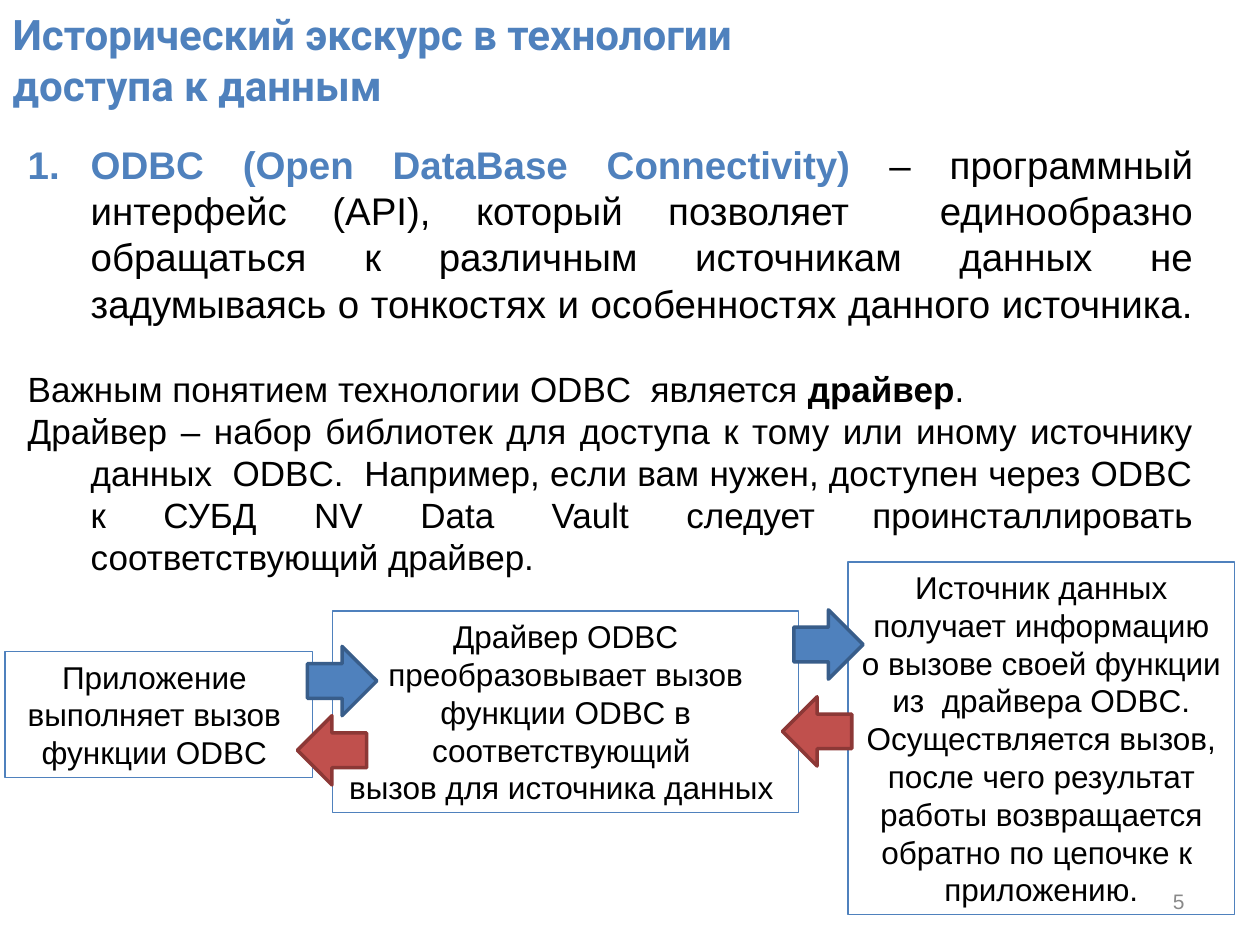
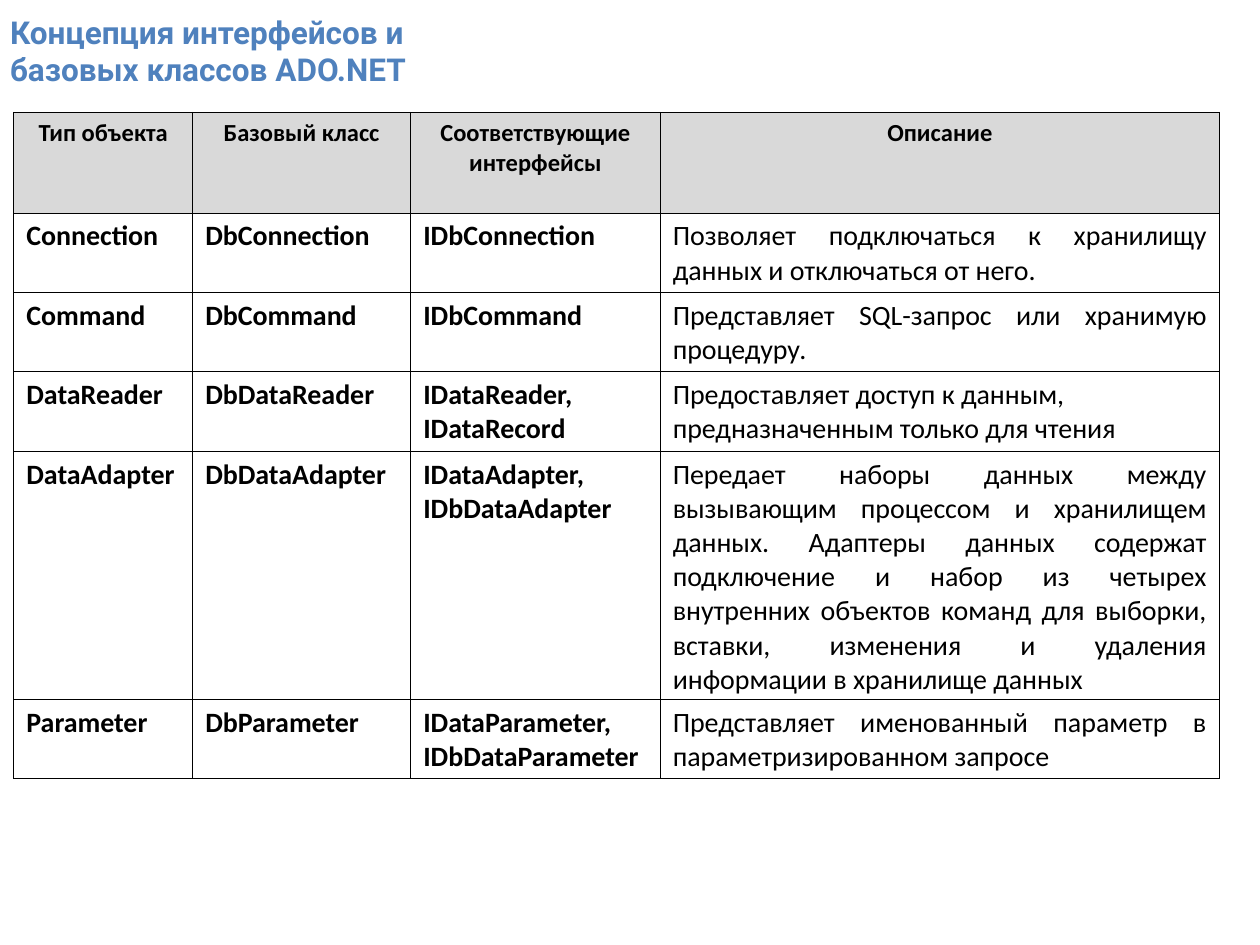
from lxml import etree
from pptx import Presentation
from pptx import util as u
from pptx.dml.color import RGBColor
from pptx.enum import shapes, text
from pptx.oxml import ns

BLUE = RGBColor(0x4F, 0x81, 0xBD)
NAVY = RGBColor(0x38, 0x5D, 0x8A)
RED = RGBColor(0xC0, 0x50, 0x4D)
MAROON = RGBColor(0x8C, 0x38, 0x36)
BLACK = RGBColor(0, 0, 0)
GRAY = RGBColor(0x89, 0x89, 0x89)
SILVER = RGBColor(0xD9, 0xD9, 0xD9)

LEFT, MID, RIGHT, FULL = (text.PP_ALIGN.LEFT, text.PP_ALIGN.CENTER,
                          text.PP_ALIGN.RIGHT, text.PP_ALIGN.JUSTIFY)
HEAD = dict(name="Roboto", bold=True, color=BLUE)
PLAIN = dict(name="Arial", bold=False, color=BLACK)
CELL = dict(name="Calibri", color=BLACK)

LEAD = 1.2
ARROW = 0.55
NOTES = [
    (22, 0, [("ODBC (Open DataBase Connectivity) ", dict(bold=True, color=BLUE)),
             ("– программный интерфейс (API), который позволяет  единообразно "
              "обращаться к различным источникам данных не задумываясь о "
              "тонкостях и особенностях данного источника. ", {})]),
    (20, 24, [("Важным понятием технологии ODBC  является ", {}),
              ("драйвер", dict(bold=True)), (". ", {})]),
    (20, 0, [("Драйвер – набор библиотек для доступа к тому или иному источнику "
              "данных  ODBC.  Например, если вам нужен, доступен через ODBC к "
              "СУБД NV Data Vault следует проинсталлировать соответствующий "
              "драйвер.", {})]),
]
STEPS = [
    ((0.04, 5.17, 2.44, 1), ["Приложение ", "выполняет вызов ", "функции ODBC "]),
    ((2.64, 4.85, 3.7, 1.6),
     ["Драйвер ODBC преобразовывает вызов функции ODBC в соответствующий ",
      "вызов для источника данных "]),
    ((6.73, 4.46, 3.07, 2.8),
     ["Источник данных получает информацию о вызове своей функции из  драйвера "
      "ODBC. Осуществляется вызов, после чего результат работы возвращается "
      "обратно по цепочке к ", "приложению."]),
]
CALLS = [(2.44, 5.13), (6.3, 4.84)]
REPLIES = [(6.21, 5.53), (2.36, 5.68)]

COLS = [1.42, 1.73, 1.98, 4.44]
ROWS = [0.8, 0.63, 0.63, 0.63, 1.97, 0.63]
TYPES = [
    ("Тип объекта", "Базовый класс", "Соответствующие\nинтерфейсы", "Описание"),
    ("Connection", "DbConnection", "IDbConnection",
     "Позволяет подключаться к хранилищу данных и отключаться от него. "),
    ("Command", "DbCommand", "IDbCommand",
     "Представляет SQL-запрос или хранимую процедуру. "),
    ("DataReader", "DbDataReader", "IDataReader,\nIDataRecord",
     "Предоставляет доступ к данным,\nпредназначенным только для чтения"),
    ("DataAdapter", "DbDataAdapter", "IDataAdapter,\nIDbDataAdapter",
     "Передает наборы данных между вызывающим процессом и хранилищем данных. "
     "Адаптеры данных содержат подключение и набор из четырех внутренних "
     "объектов команд для выборки, вставки, изменения и удаления информации "
     "в хранилище данных"),
    ("Parameter", "DbParameter", "IDataParameter,\nIDbDataParameter",
     "Представляет именованный параметр в параметризированном запросе"),
]


def inches(box):
    return [u.Inches(x) for x in box]


def style(font, look):
    for key, val in look.items():
        if key == "color":
            font.color.rgb = val
        else:
            setattr(font, key, val)


def place(shape, box):
    for key, val in zip(("left", "top", "width", "height"), inches(box)):
        setattr(shape, key, val)


def setup(frame, anchor=text.MSO_ANCHOR.TOP):
    look = dict(word_wrap=True, auto_size=text.MSO_AUTO_SIZE.NONE,
                vertical_anchor=anchor)
    for key, val in look.items():
        setattr(frame, key, val)


def write(frame, lines, look, align, lead=None):
    """Fill the frame with one paragraph per line."""
    for i, line in enumerate(lines):
        para = frame.add_paragraph() if i else frame.paragraphs[0]
        para.alignment = align
        if lead:
            para.line_spacing = u.Pt(lead)
        run = para.add_run()
        run.text = line
        style(run.font, look)


def add_title(slide, box, lines, size):
    title = slide.shapes.title
    place(title, box)
    setup(title.text_frame)
    write(title.text_frame, lines, dict(HEAD, size=u.Pt(size)), LEFT)


def add_notes(slide, box):
    body = slide.placeholders[1]
    place(body, box)
    frame = body.text_frame
    setup(frame)
    for i, (size, gap, parts) in enumerate(NOTES):
        para = frame.add_paragraph() if i else frame.paragraphs[0]
        para.alignment = FULL
        para.space_before = u.Pt(gap)
        para.line_spacing = u.Pt(LEAD * size)
        for words, extra in parts:
            run = para.add_run()
            run.text = words
            style(run.font, PLAIN | dict(size=u.Pt(size)) | extra)
        mark(para, numbered=i == 0)


def mark(para, numbered):
    """Set a hanging indent with a blue number or no bullet."""
    props = para._p.get_or_add_pPr()
    props.set("marL", str(u.Inches(0.5)))
    props.set("indent", str(-u.Inches(0.5)))
    if numbered:
        tint = etree.SubElement(props, ns.qn("a:buClr"))
        etree.SubElement(tint, ns.qn("a:srgbClr"), val=str(BLUE))
        etree.SubElement(props, ns.qn("a:buAutoNum"), type="arabicPeriod")
    else:
        etree.SubElement(props, ns.qn("a:buNone"))


def add_form(slide, kind, box, line, width, fill=None):
    form = slide.shapes.add_shape(kind, *inches(box))
    form.shadow.inherit = False
    form.line.color.rgb = line
    form.line.width = u.Pt(width)
    if fill is None:
        form.fill.background()
    else:
        form.fill.solid()
        form.fill.fore_color.rgb = fill
    return form


def add_step(slide, box, lines):
    step = add_form(slide, shapes.MSO_SHAPE.RECTANGLE, box, BLUE, 0.75)
    setup(step.text_frame)
    write(step.text_frame, lines, dict(PLAIN, size=u.Pt(18)), MID, LEAD * 18)


def add_arrows(slide, kind, spots, fill, line):
    for spot in spots:
        add_form(slide, kind, (*spot, ARROW, ARROW), line, 2, fill)


def add_number(slide, number):
    box = slide.shapes.add_textbox(*inches((7.17, 6.95, 2.33, 0.4)))
    setup(box.text_frame, text.MSO_ANCHOR.MIDDLE)
    write(box.text_frame, [number], dict(PLAIN, size=u.Pt(12), color=GRAY), RIGHT)


def frame_cell(cell):
    """Draw a thin black line on all four sides."""
    props = cell._tc.get_or_add_tcPr()
    for side in "LRTB":
        line = etree.SubElement(props, ns.qn("a:ln" + side), w=str(u.Pt(0.45)))
        fill = etree.SubElement(line, ns.qn("a:solidFill"))
        etree.SubElement(fill, ns.qn("a:srgbClr"), val=str(BLACK))


def add_types(slide, left, top):
    box = inches((left, top, sum(COLS), sum(ROWS)))
    table = slide.shapes.add_table(len(ROWS), len(COLS), *box).table
    table.first_row = table.horz_banding = False
    for col, width in zip(table.columns, COLS):
        col.width = u.Inches(width)
    for r, (row, height) in enumerate(zip(table.rows, ROWS)):
        row.height = u.Inches(height)
        for c, cell in enumerate(row.cells):
            head, last = r == 0, c == len(COLS) - 1
            frame_cell(cell)
            cell.margin_bottom = u.Inches(0.01)
            if head:
                cell.fill.solid()
                cell.fill.fore_color.rgb = SILVER
            else:
                cell.fill.background()
            look = dict(CELL, size=u.Pt(14 if head else 16), bold=head or not last)
            align = MID if head else FULL if last else LEFT
            write(cell.text_frame, TYPES[r][c].split("\n"), look, align)


def main():
    deck = Presentation()
    deck.slide_width, deck.slide_height = u.Inches(10), u.Inches(7.5)

    odbc = deck.slides.add_slide(deck.slide_layouts[1])
    add_title(odbc, (0, 0.02, 6.57, 0.9),
              ["Исторический экскурс в технологии доступа к данным"], 24)
    add_notes(odbc, (0.12, 1.07, 9.45, 3.57))
    add_number(odbc, "5")
    for box, lines in STEPS:
        add_step(odbc, box, lines)
    add_arrows(odbc, shapes.MSO_SHAPE.RIGHT_ARROW, CALLS, BLUE, NAVY)
    add_arrows(odbc, shapes.MSO_SHAPE.LEFT_ARROW, REPLIES, RED, MAROON)

    ado = deck.slides.add_slide(deck.slide_layouts[5])
    add_title(ado, (-0.02, 0.05, 3.81, 0.7),
              ["Концепция интерфейсов и", "базовых классов ADO.NET"], 18)
    add_types(ado, 0.11, 0.89)

    deck.save("out.pptx")


if __name__ == "__main__":
    main()
